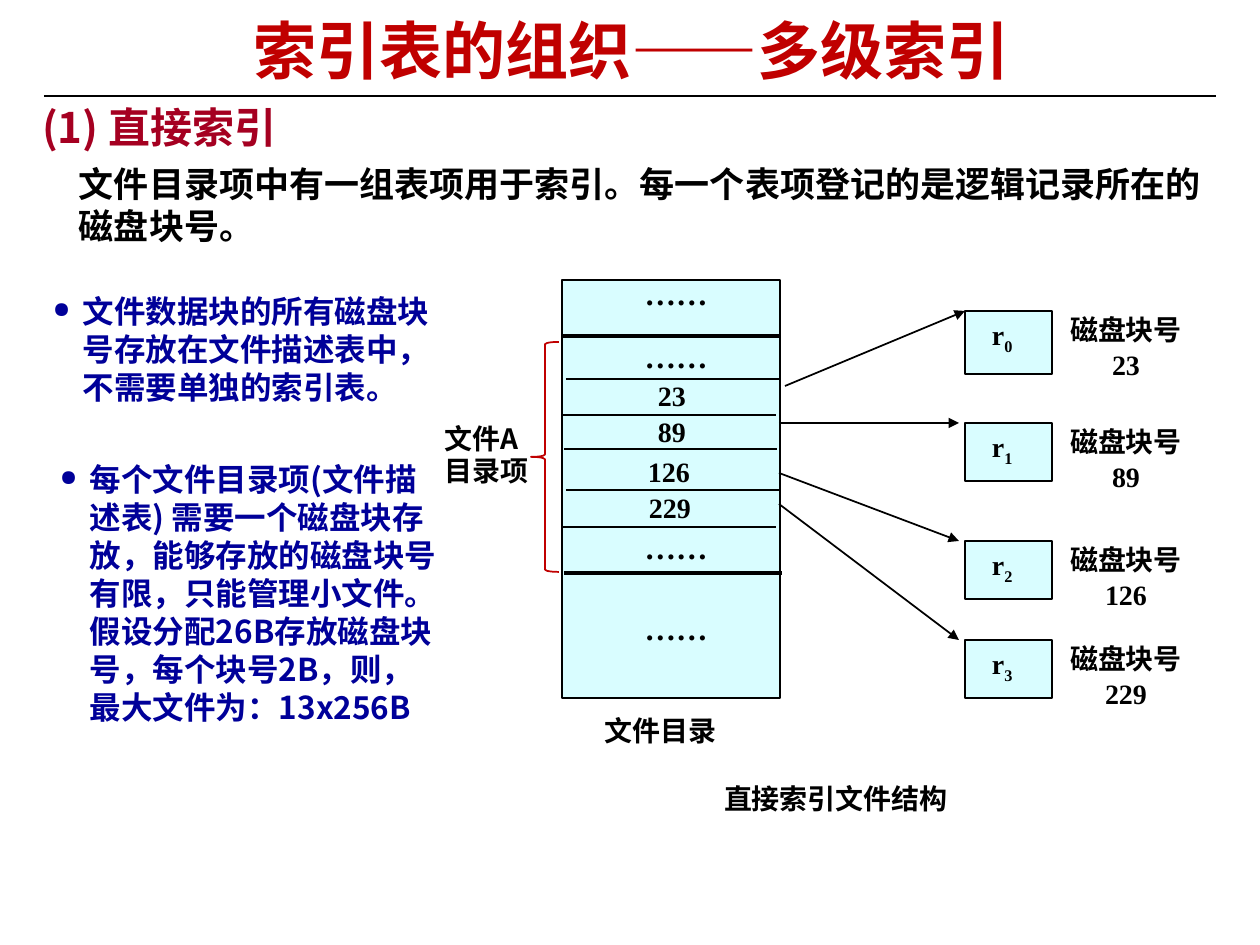
from lxml.etree import SubElement
from pptx import Presentation
from pptx.dml.color import RGBColor
from pptx.enum.shapes import MSO_CONNECTOR, MSO_SHAPE
from pptx.enum.text import MSO_ANCHOR, PP_ALIGN
from pptx.oxml.ns import qn
from pptx.util import Emu, Pt

PX = 914400 // 126
SANS, SERIF = "Noto Sans CJK SC", "Times New Roman"
THEME = {
    "title": "C00000", "heading": "A50021", "point": "000099",
    "ink": "000000", "cell": "D9FDFF", "brace": "C00000",
    "title_size": 36, "heading_size": 24, "intro_size": 20,
    "point_size": 18, "label_size": 16,
}

# Content; boxes are left, top, width, height in px
TITLE = "索引表的组织——多级索引"
HEADING = "(1) 直接索引"
INTRO = "文件目录项中有一组表项用于索引。每一个表项登记的是逻辑记录所在的磁盘块号。"
POINTS = [
    ((40, 286, 403, 130), "文件数据块的所有磁盘块号存放在文件描述表中，不需要单独的索引表。"),
    ((47, 454, 403, 297), "每个文件目录项(文件描述表) 需要一个磁盘块存放，能够存放的磁盘块号有限，"
                          "只能管理小文件。假设分配26B存放磁盘块号，每个块号2B，则，最大文件为：13x256B"),
]
DIRECTORY = (562, 280, 218, 418)
SEPARATORS = [  # left, right, y, weight
    (562, 780, 336, 2), (566, 779, 379, 1.5), (563, 776, 415, 1.5),
    (564, 777, 449, 1.5), (566, 779, 490, 0.75), (563, 776, 527, 1.5),
    (564, 782, 573, 2),
]
ELLIPSIS_TOPS = [280, 343, 534, 615]
BLOCKS = [  # block number, entry left and top, record top and height, arrow
    ("23", 631, 379, 311, 63, (785, 386, 965, 311)),
    ("89", 631, 415, 423, 58, (779, 423, 959, 423)),
    ("126", 621, 455, 541, 58, (779, 473, 959, 541)),
    ("229", 622, 491, 640, 58, (779, 504, 959, 640)),
]

prs = Presentation()
prs.slide_width, prs.slide_height = Emu(1260 * PX), Emu(945 * PX)
slide = prs.slides.add_slide(prs.slide_layouts[5])


def emu(lengths):
    return [Emu(length * PX) for length in lengths]


def color(key):
    return RGBColor.from_string(THEME[key])


def add_run(paragraph, text, ink="ink", size="label_size", font=SANS, bold=True):
    run = paragraph.add_run()
    run.text = text
    run.font.size = Pt(THEME[size])
    run.font.bold = bold
    run.font.name = font
    run.font.color.rgb = color(ink)
    SubElement(run.font._element, qn("a:ea"), typeface=SANS)
    return run


def prepare(frame, anchor=MSO_ANCHOR.TOP, left=13, right=13):
    frame.word_wrap = True
    frame.vertical_anchor = anchor
    frame.margin_left, frame.margin_right = emu((left, right))
    frame.margin_top = frame.margin_bottom = Pt(3.6)
    return frame


def add_text(box, lines, align=PP_ALIGN.LEFT, spacing=None, anchor=MSO_ANCHOR.TOP,
             left=13, right=13, **style):
    frame = prepare(slide.shapes.add_textbox(*emu(box)).text_frame, anchor, left, right)
    for index, line in enumerate(lines):
        paragraph = frame.paragraphs[0] if index == 0 else frame.add_paragraph()
        paragraph.alignment = align
        paragraph.line_spacing = spacing
        add_run(paragraph, line, **style)
    return frame


def add_rule(x1, y1, x2, y2, weight, arrow=False):
    rule = slide.shapes.add_connector(MSO_CONNECTOR.STRAIGHT, *emu((x1, y1, x2, y2)))
    rule.line.color.rgb = color("ink")
    rule.line.width = Pt(weight)
    if arrow:
        SubElement(rule.line._get_or_add_ln(), qn("a:tailEnd"), type="triangle")
    SubElement(rule._element.spPr, qn("a:effectLst"))


def add_box(box):
    cell = slide.shapes.add_shape(MSO_SHAPE.RECTANGLE, *emu(box))
    cell.shadow.inherit = False
    cell.fill.solid()
    cell.fill.fore_color.rgb = color("cell")
    cell.line.color.rgb = color("ink")
    cell.line.width = Pt(1.5)
    return cell


# Title and introduction
title = slide.shapes.title
title.left, title.top, title.width, title.height = emu((53, 6, 1157, 88))
title_line = prepare(title.text_frame).paragraphs[0]
title_line.alignment = PP_ALIGN.CENTER
title_line.line_spacing = Pt(43)
add_run(title_line, TITLE, "title", "title_size")
add_rule(44, 96, 1216, 96, 0.75)
add_text((29, 95, 1178, 63), [HEADING], spacing=Pt(29), ink="heading", size="heading_size")
add_text((66, 156, 1169, 97), [INTRO], spacing=Pt(24), size="intro_size")

# Bulleted points
for box, point in POINTS:
    frame = add_text(box, [point], spacing=Pt(21.7), ink="point", size="point_size")
    props = frame.paragraphs[0]._p.get_or_add_pPr()
    props.set("marL", str(30 * PX))
    props.set("indent", str(-30 * PX))
    bullet_color = SubElement(props, qn("a:buClr"))
    SubElement(bullet_color, qn("a:srgbClr"), val=THEME["point"])
    SubElement(props, qn("a:buSzPct"), val="70000")
    SubElement(props, qn("a:buChar"), char="●")

# File directory with its rows
add_box(DIRECTORY)
for left, right, y, weight in SEPARATORS:
    add_rule(left, y, right, y, weight)
for top in ELLIPSIS_TOPS:
    add_text((630, top, 92, 32), ["……"], PP_ALIGN.CENTER, 0.8, MSO_ANCHOR.MIDDLE,
             size="point_size", font=SERIF)

# Index entries, the records they point to, and block numbers
for index, (number, left, top, record_top, height, arrow) in enumerate(BLOCKS):
    add_text((left, top, 92, 32), [number], spacing=0.8, left=27, font=SERIF)
    record = prepare(add_box((965, record_top, 87, height)).text_frame, left=27)
    record.paragraphs[0].alignment = PP_ALIGN.LEFT
    add_run(record.paragraphs[0], "r", font=SERIF)
    subscript = add_run(record.paragraphs[0], str(index), font=SERIF)
    subscript.font._element.set("baseline", "-25000")
    add_text((1058, record_top - 6, 156, 72), ["磁盘块号", number], PP_ALIGN.CENTER,
             Pt(20), left=3, right=23, font=SERIF)
    add_rule(*arrow, 1, arrow=True)

# Brace and captions
brace = slide.shapes.add_shape(MSO_SHAPE.LEFT_BRACE, *emu((531, 342, 28, 230)))
brace.shadow.inherit = False
brace.fill.background()
brace.line.color.rgb = color("brace")
brace.line.width = Pt(1)
add_text((432, 417, 117, 93), ["文件A", "目录项"], spacing=Pt(18.4))
add_text((592, 708, 157, 54), ["文件目录"], spacing=Pt(19))
add_text((711, 776, 270, 47), ["直接索引文件结构"], spacing=Pt(19), font=SERIF)

prs.save("out.pptx")
